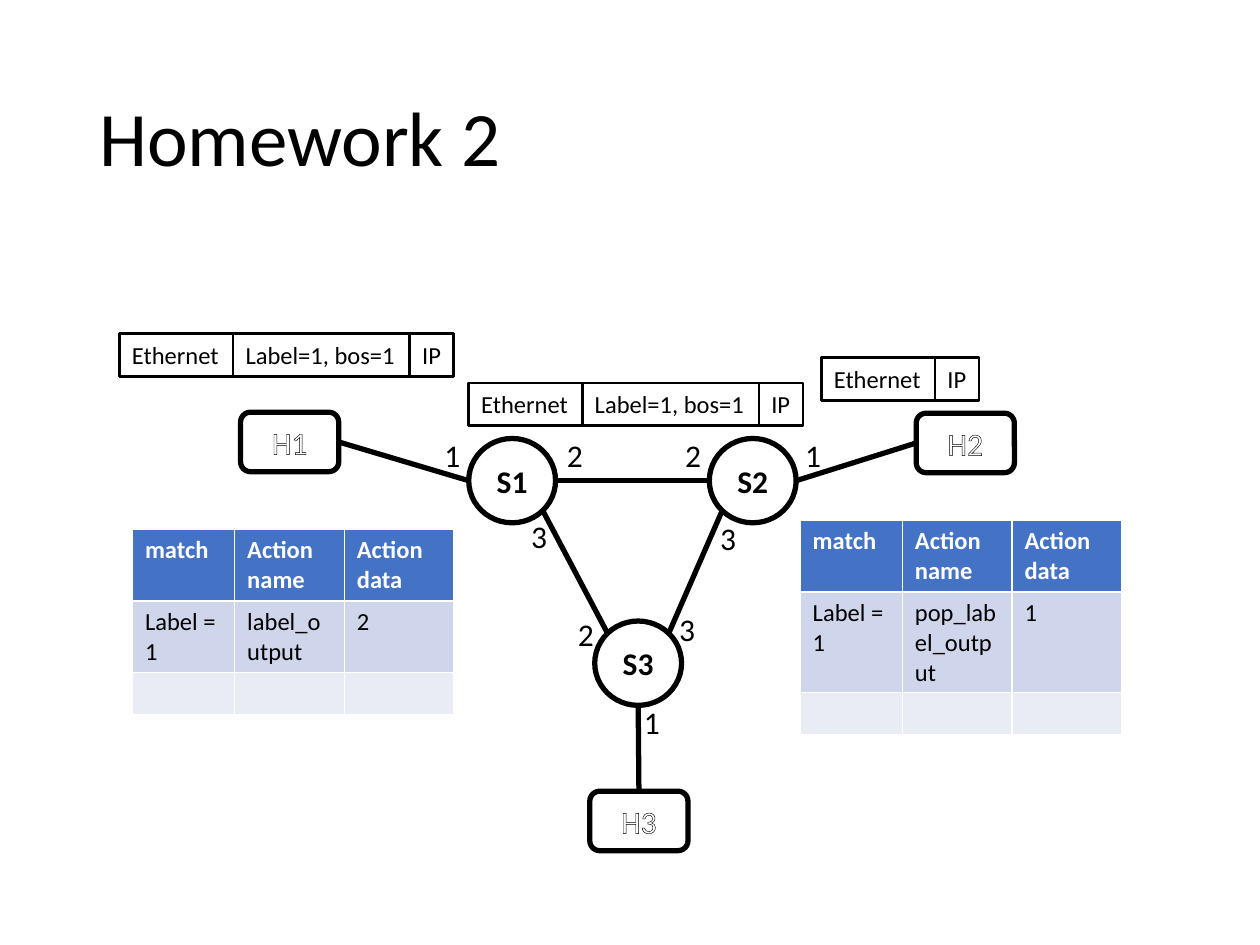
from dataclasses import dataclass

from lxml.etree import SubElement
from pptx import Presentation
from pptx.dml.color import RGBColor
from pptx.enum.shapes import MSO_CONNECTOR, MSO_SHAPE as SHAPE
from pptx.enum.text import MSO_ANCHOR as ANCHOR, MSO_AUTO_SIZE as FIT, PP_ALIGN as ALIGN
from pptx.oxml import parse_xml
from pptx.oxml.ns import nsdecls, qn
from pptx.util import Cm, Pt

BLACK = RGBColor(0x00, 0x00, 0x00)
WHITE = RGBColor(0xFF, 0xFF, 0xFF)
HEADER = RGBColor(0x44, 0x72, 0xC4)
BANDS = (RGBColor(0xCF, 0xD5, 0xEA), RGBColor(0xE9, 0xEB, 0xF5))
FONT = "Calibri"


@dataclass(frozen=True)
class Node:
    """A host or switch; sizes in centimetres."""
    name: str
    x: float
    y: float
    is_host: bool = False

    @property
    def size(self) -> tuple[float, float]:
        """Width and height."""
        return (1.98, 1.2) if self.is_host else (1.75, 1.7)

    def at(self, fx: float, fy: float) -> tuple[Cm, Cm]:
        """Point at the given fractions of width and height."""
        w, h = self.size
        return Cm(self.x + fx * w), Cm(self.y + fy * h)


@dataclass(frozen=True)
class Packet:
    """A row of header fields."""
    x: float
    y: float
    fields: tuple[str, ...]


@dataclass(frozen=True)
class FlowTable:
    """A match-action table of one switch."""
    x: float
    y: float
    entry: tuple[str, str, str]


H1, H2, H3 = (Node("H1", 4.85, 8.31, True), Node("H2", 18.47, 8.33, True),
              Node("H3", 11.89, 15.95, True))
S1, S2, S3 = Node("S1", 9.45, 8.84), Node("S2", 14.3, 8.84), Node("S3", 11.99, 12.52)

LEFT, RIGHT, TOP, BOTTOM = (0, 0.5), (1, 0.5), (0.5, 0), (0.5, 1)
TOP_LEFT, TOP_RIGHT, BOTTOM_LEFT, BOTTOM_RIGHT = (
    (0.15, 0.15), (0.85, 0.15), (0.15, 0.85), (0.85, 0.85))
LINKS = (
    (H1, RIGHT, S1, LEFT), (S2, RIGHT, H2, LEFT), (S3, BOTTOM, H3, TOP),
    (S2, LEFT, S1, RIGHT), (S1, BOTTOM_RIGHT, S3, TOP_LEFT),
    (S3, TOP_RIGHT, S2, BOTTOM_LEFT),
)
PORTS = (
    ("1", 8.71, 8.66), ("2", 11.18, 8.66), ("2", 13.56, 8.66),
    ("3", 10.46, 10.29), ("2", 11.4, 12.27), ("3", 13.44, 12.17),
    ("1", 15.98, 8.66), ("1", 12.73, 14.05), ("3", 14.27, 10.34),
)
FIELD_WIDTHS = {"Ethernet": 2.29, "Label=1, bos=1": 3.56, "IP": 0.89}
PACKETS = (
    Packet(2.41, 6.73, tuple(FIELD_WIDTHS)),
    Packet(9.45, 7.72, tuple(FIELD_WIDTHS)),
    Packet(16.56, 7.21, ("Ethernet", "IP")),
)
TABLE_HEADS = ("match", "Action name", "Action data")
COLUMN_WIDTHS = (2.06, 2.21, 2.21)
ROW_HEIGHT = 0.79
TABLES = (
    FlowTable(2.67, 10.67, ("Label = 1", "label_output", "2")),
    FlowTable(16.13, 10.49, ("Label = 1", "pop_label_output", "1")),
)


def write(tf, text: str, size: int, color=BLACK, bold=False, align=ALIGN.LEFT):
    """Put one styled paragraph in a text frame and return it."""
    p = tf.paragraphs[0]
    p.alignment = align
    p.font.name, p.font.size, p.font.bold = FONT, Pt(size), bold
    p.font.color.rgb = color
    if text:
        p.add_run().text = text
    else:
        SubElement(p._p, qn("a:endParaRPr"), sz=str(size * 100))
    return p


def add_outline(shapes, kind, x, y, w, h, weight: float):
    """Add an unfilled black-edged shape."""
    sp = shapes.add_shape(kind, Cm(x), Cm(y), Cm(w), Cm(h))
    sp.shadow.inherit = False
    sp.fill.background()
    sp.line.color.rgb, sp.line.width = BLACK, Pt(weight)
    return sp


def add_node(s, node: Node):
    """Draw a host as a rounded box or a switch as a circle."""
    kind = SHAPE.ROUNDED_RECTANGLE if node.is_host else SHAPE.OVAL
    sp = add_outline(s.shapes, kind, node.x, node.y, *node.size, 3)
    tf = sp.text_frame
    tf.vertical_anchor = ANCHOR.MIDDLE
    p = write(tf, node.name, 18, WHITE if node.is_host else BLACK,
              not node.is_host, ALIGN.CENTER)
    if node.is_host:
        p.runs[0]._r.get_or_add_rPr().insert(0, parse_xml(
            f'<a:ln {nsdecls("a")} w="9525"><a:solidFill>'
            f'<a:srgbClr val="{BLACK}"/></a:solidFill></a:ln>'))


def add_link(s, start: Node, start_at, end: Node, end_at):
    """Join two nodes with a straight line."""
    cx = s.shapes.add_connector(MSO_CONNECTOR.STRAIGHT,
                                *start.at(*start_at), *end.at(*end_at))
    cx.line.color.rgb, cx.line.width = BLACK, Pt(3)
    SubElement(cx._element.spPr, qn("a:effectLst"))


def add_port(s, number: str, x: float, y: float):
    """Write a port number."""
    tf = s.shapes.add_textbox(Cm(x), Cm(y), Cm(0.84), Cm(1.02)).text_frame
    tf.word_wrap, tf.auto_size = False, FIT.SHAPE_TO_FIT_TEXT
    write(tf, number, 18)


def add_flow_table(s, flow: FlowTable):
    """Draw a match-action table with one entry and one empty row."""
    rows = (TABLE_HEADS, flow.entry, ("", "", ""))
    table = s.shapes.add_table(
        len(rows), len(TABLE_HEADS), Cm(flow.x), Cm(flow.y),
        Cm(sum(COLUMN_WIDTHS)), Cm(ROW_HEIGHT * len(rows))).table
    for column, width in zip(table.columns, COLUMN_WIDTHS):
        column.width = Cm(width)
    for i, texts in enumerate(rows):
        head = i == 0
        for j, text in enumerate(texts):
            cell = table.cell(i, j)
            cell.fill.solid()
            cell.fill.fore_color.rgb = HEADER if head else BANDS[i - 1]
            write(cell.text_frame, text, 14, WHITE if head else BLACK, head)


def add_packet(s, packet: Packet):
    """Draw a packet as a group of adjoining fields."""
    shapes = s.shapes.add_group_shape().shapes
    x = packet.x
    for field in packet.fields:
        width = FIELD_WIDTHS[field]
        sp = add_outline(shapes, SHAPE.RECTANGLE, x, packet.y, width, 0.86, 1.5)
        tf = sp.text_frame
        tf.word_wrap, tf.auto_size = False, FIT.SHAPE_TO_FIT_TEXT
        tf.vertical_anchor = ANCHOR.TOP
        write(tf, field, 14)
        x += width


def add_title(s, text: str):
    """Write the slide heading."""
    tf = s.shapes.add_textbox(Cm(1.75), Cm(1.02), Cm(21.9), Cm(3.68)).text_frame
    tf.word_wrap, tf.vertical_anchor = True, ANCHOR.MIDDLE
    write(tf, text, 44).line_spacing = 0.9


def main():
    """Build and save the slide."""
    prs = Presentation()
    prs.slide_width, prs.slide_height = Cm(25.4), Cm(19.05)
    s = prs.slides.add_slide(prs.slide_layouts[6])
    add_title(s, "Homework 2")
    for node in (H2, H1, H3, S1, S2, S3):
        add_node(s, node)
    for link in LINKS:
        add_link(s, *link)
    for port in PORTS:
        add_port(s, *port)
    for flow in TABLES:
        add_flow_table(s, flow)
    for packet in PACKETS:
        add_packet(s, packet)
    prs.save("out.pptx")


main()
